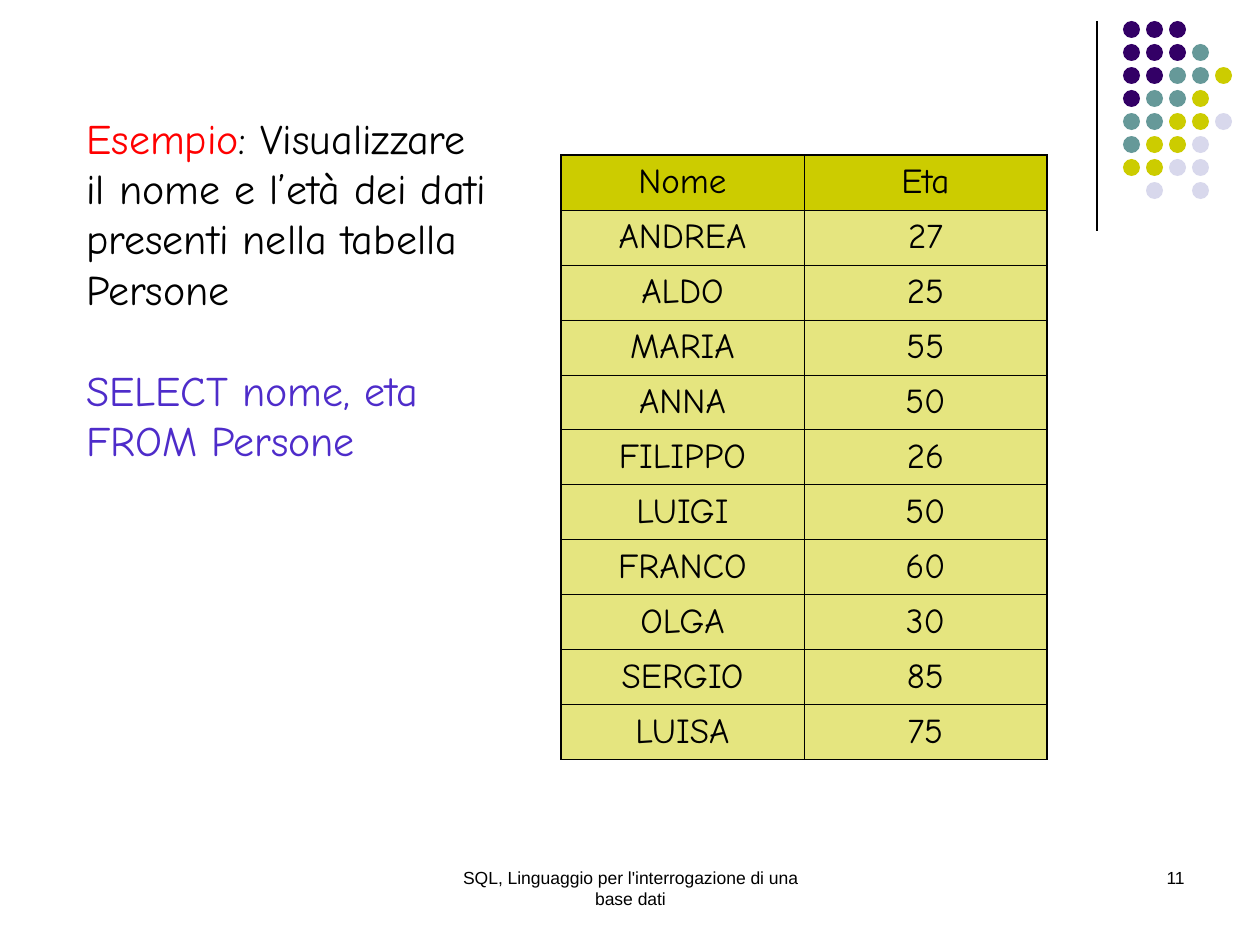
from lxml import etree
from pptx import Presentation
from pptx.dml.color import RGBColor
from pptx.enum.shapes import MSO_CONNECTOR, MSO_SHAPE
from pptx.enum.text import MSO_ANCHOR, PP_ALIGN
from pptx.oxml.ns import qn
from pptx.util import Pt

PX = 914400 / 126
LEFT, MID, RIGHT = PP_ALIGN.LEFT, PP_ALIGN.CENTER, PP_ALIGN.RIGHT
MIDDLE = MSO_ANCHOR.MIDDLE
OVAL = MSO_SHAPE.OVAL
LINE = MSO_CONNECTOR.STRAIGHT
BLACK, GOLD = "000000", "CCCC00"


def px(*nums):
    return [round(n * PX) for n in nums]


def write(par, text, size, font, tint=BLACK):
    run = par.add_run()
    run.text = text
    run.font.size = Pt(size)
    run.font.name = font
    run.font.color.rgb = RGBColor.from_string(tint)


deck = Presentation()
deck.slide_width, deck.slide_height = px(1260, 945)
slide = deck.slides.add_slide(deck.slide_layouts[6])
shapes = slide.shapes

rule = shapes.add_connector(LINE, *px(1097, 21, 1097, 231))
rule.line.width = Pt(0.75)
rule.line.color.rgb = RGBColor.from_string(BLACK)
etree.SubElement(rule._element.spPr, qn("a:effectLst"))

tints = {"P": "330066", "T": "669999", "Y": GOLD, "L": "D8D8EC"}
grid = ["PPP", "PPPT", "PPTTY", "PTTY", "TTYYL", "TYYL", "YYLL", " L L"]
dots = shapes.add_group_shape()
for row, marks in enumerate(grid):
    for col, mark in enumerate(marks):
        if mark in tints:
            spot = px(1123 + 23 * col, 21 + 23 * row, 17, 17)
            dot = dots.shapes.add_shape(OVAL, *spot)
            dot.shadow.inherit = False
            dot.fill.solid()
            dot.fill.fore_color.rgb = RGBColor.from_string(tints[mark])
            dot.line.fill.background()

sans, comic = "Arial", "Comic Neue"
footer = "SQL, Linguaggio per l'interrogazione di una base dati"
task = ": Visualizzare il nome e l’età dei dati presenti nella tabella Persone"
blue = "4E2CCA"
boxes = [
    ((431, 861, 399, 63), MID, 10, sans, [(0, [(footer, BLACK)])]),
    ((903, 861, 294, 63), RIGHT, 10, sans, [(0, [("11", BLACK)])]),
    ((74, 106, 427, 416), LEFT, 24, comic, [
        (0, [("Esempio", "FF0000"), (task, BLACK)]),
        (29, [("SELECT nome, eta", blue)]),
        (0, [("FROM Persone", blue)]),
    ]),
]
for spot, align, size, font, pars in boxes:
    frame = shapes.add_textbox(*px(*spot)).text_frame
    frame.word_wrap = True
    for num, (gap, runs) in enumerate(pars):
        par = frame.add_paragraph() if num else frame.paragraphs[0]
        par.alignment = align
        par.space_before = Pt(gap)
        for text, tint in runs:
            write(par, text, size, font, tint)

people = [
    ("Nome", "Eta"), ("ANDREA", "27"), ("ALDO", "25"), ("MARIA", "55"),
    ("ANNA", "50"), ("FILIPPO", "26"), ("LUIGI", "50"), ("FRANCO", "60"),
    ("OLGA", "30"), ("SERGIO", "85"), ("LUISA", "75"),
]
last = len(people) - 1
table = shapes.add_table(len(people), 2, *px(561, 155, 486, 605)).table
for line in table.rows:
    line.height = px(55)[0]
for row, person in enumerate(people):
    for col, text in enumerate(person):
        cell = table.cell(row, col)
        cell.vertical_anchor = MIDDLE
        par = cell.text_frame.paragraphs[0]
        par.alignment = MID
        write(par, text, 20, comic)
        cell.fill.solid()
        cell.fill.fore_color.rgb = RGBColor.from_string(GOLD)
        props = cell._tc.get_or_add_tcPr()
        if row:
            tone = props.find(".//" + qn("a:srgbClr"))
            etree.SubElement(tone, qn("a:alpha"), val="50000")
        outer = {"L": col == 0, "R": col == 1, "T": row == 0, "B": row == last}
        for at, (side, edge) in enumerate(outer.items()):
            width = Pt(1.08 if edge else 0.45)
            line = etree.Element(qn("a:ln" + side), w=str(width))
            fill = etree.SubElement(line, qn("a:solidFill"))
            etree.SubElement(fill, qn("a:srgbClr"), val=BLACK)
            props.insert(at, line)

deck.save("out.pptx")
